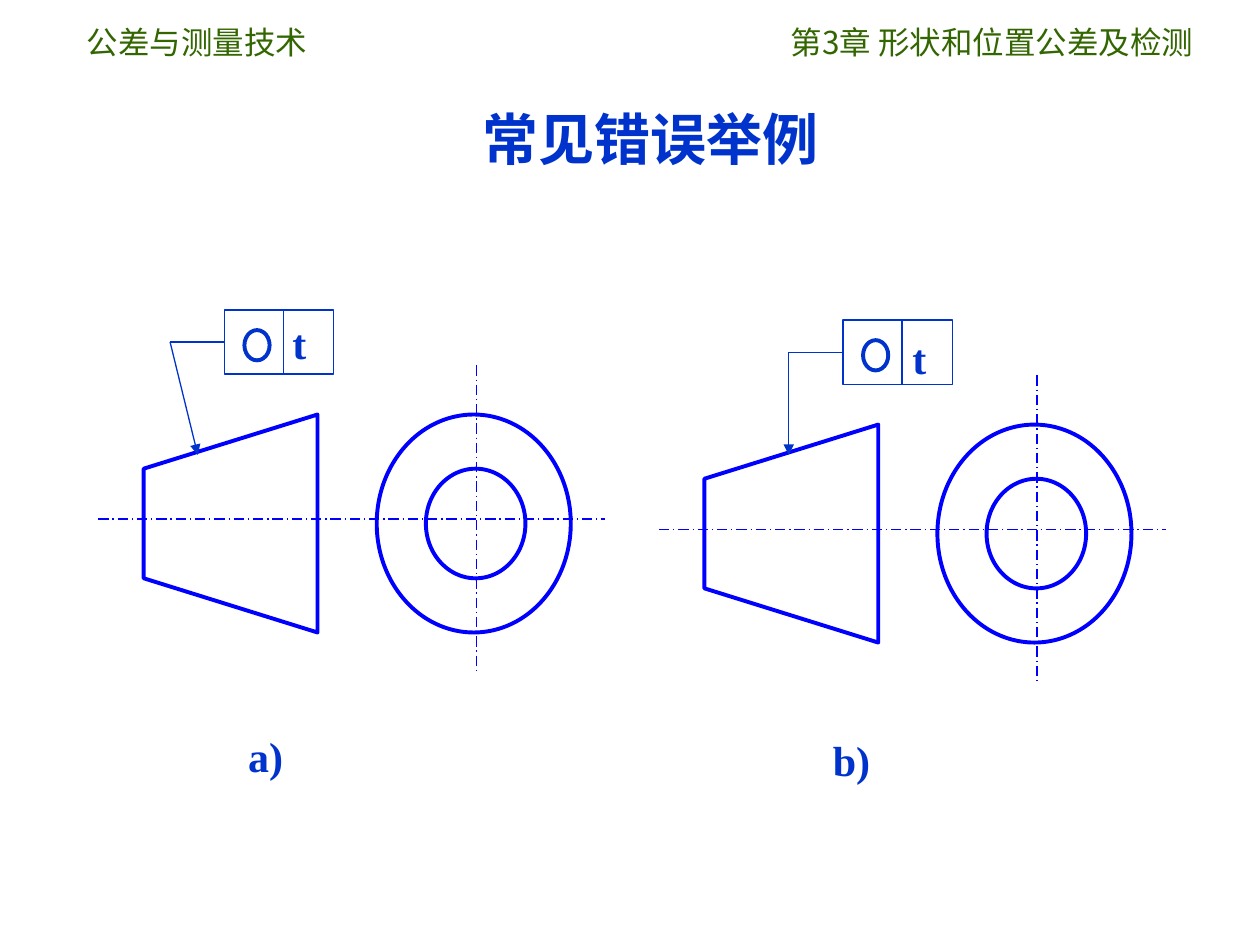
from lxml import etree
from pptx import Presentation
from pptx.dml.color import RGBColor
from pptx.enum.dml import MSO_LINE
from pptx.enum.shapes import MSO_CONNECTOR, MSO_SHAPE
from pptx.enum.text import MSO_ANCHOR, PP_ALIGN
from pptx.oxml.ns import qn
from pptx.util import Inches, Pt

STRAIGHT = MSO_CONNECTOR.STRAIGHT
OVAL, RECT = MSO_SHAPE.OVAL, MSO_SHAPE.RECTANGLE
DASH_DOT = MSO_LINE.LONG_DASH_DOT
MIDDLE = MSO_ANCHOR.MIDDLE
LEFT, RIGHT = PP_ALIGN.LEFT, PP_ALIGN.RIGHT
CJK, SERIF = "Noto Sans CJK SC", "Times New Roman"
COLORS = {"header": "336600", "part": "0000FF", "mark": "0033CC", "white": "FFFFFF"}


def set_text(sp, text, size, font, color, bold=False, align=LEFT, inset=(0, 0)):
    tf = sp.text_frame
    tf.text = text
    tf.word_wrap = True
    tf.vertical_anchor = MIDDLE
    tf.margin_left = tf.margin_right = Inches(inset[0])
    tf.margin_top = tf.margin_bottom = Inches(inset[1])
    p = tf.paragraphs[0]
    p.alignment = align
    p.space_before = Pt(0)
    r = p.runs[0]
    r.font.size, r.font.bold, r.font.name = Pt(size), bold, font
    r.font.color.rgb = RGBColor.from_string(COLORS[color])
    etree.SubElement(r.font._element, qn("a:ea"), typeface=CJK)


def style(sp, color, width, fill=None):
    sp.line.color.rgb = RGBColor.from_string(COLORS[color])
    sp.line.width = Pt(width)
    if sp in lines:
        etree.SubElement(sp._element.spPr, qn("a:effectLst"))
        return
    sp.shadow.inherit = False
    if fill:
        sp.fill.solid()
        sp.fill.fore_color.rgb = RGBColor.from_string(COLORS[fill])
    else:
        sp.fill.background()


prs = Presentation()
prs.slide_width, prs.slide_height = Inches(10), Inches(7.5)
s = prs.slides.add_slide(prs.slide_layouts[5])
lines = []

# Title
title = s.shapes.title
title.left, title.top = Inches(3.83), Inches(0.83)
title.width, title.height = Inches(2.9), Inches(0.53)
set_text(title, "常见错误举例", 32, SERIF, "mark", bold=True)

# Running headers
for text, x, w, align in [("公差与测量技术", 0.59, 2.14, LEFT),
                          ("第3章 形状和位置公差及检测", 5.87, 3.7, RIGHT)]:
    sp = s.shapes.add_textbox(Inches(x), Inches(0.13), Inches(w), Inches(0.4))
    set_text(sp, text, 18, CJK, "header", align=align, inset=(0.1, 0.05))

# Two examples: part offset, frame corner, arrow tip x, "t" position, caption
examples = [
    ((0, 0), (1.78, 2.46), 1.57, (2.32, 2.52), ("a)", 1.97, 5.8)),
    ((4.45, 0.08), (6.69, 2.54), 6.26, (7.24, 2.64), ("b)", 6.61, 5.83)),
]
frame_w, frame_h = 0.87, 0.51

for (dx, dy), (fx, fy), tip_x, (tx, ty), (caption, cx, cy) in examples:
    # Cone in side view
    points = [(Inches(x + dx), Inches(y + dy))
              for x, y in [(2.52, 3.29), (2.52, 5.02), (1.14, 4.59), (1.14, 3.72)]]
    builder = s.shapes.build_freeform(*points[0], scale=1.0)
    builder.add_line_segments(points[1:], close=True)
    style(builder.convert_to_shape(), "part", 2.25, fill="white")

    # Cone in end view
    for x, y, w, h in [(3.38, 3.72, 0.79, 0.87), (2.99, 3.29, 1.54, 1.73)]:
        sp = s.shapes.add_shape(OVAL, Inches(x + dx), Inches(y + dy), Inches(w), Inches(h))
        style(sp, "part", 2.25)

    # Centre lines
    for x1, y1, x2, y2 in [(0.78, 4.12, 4.8, 4.12), (3.78, 2.9, 3.78, 5.34)]:
        line = s.shapes.add_connector(STRAIGHT, Inches(x1 + dx), Inches(y1 + dy),
                                      Inches(x2 + dx), Inches(y2 + dy))
        lines.append(line)
        style(line, "part", 0.75)
        line.line.dash_style = DASH_DOT

    # Tolerance frame with roundness symbol
    frame = s.shapes.add_shape(RECT, Inches(fx), Inches(fy), Inches(frame_w), Inches(frame_h))
    style(frame, "mark", 0.75)
    symbol = s.shapes.add_shape(OVAL, Inches(fx + 0.16), Inches(fy + 0.16),
                                Inches(0.2), Inches(0.24))
    style(symbol, "mark", 2.25)

    # Frame divider, leader and arrow
    bend_x, mid_y, div_x = fx - 0.43, fy + frame_h / 2, fx + 0.47
    divider, leader, arrow = [
        s.shapes.add_connector(STRAIGHT, *[Inches(v) for v in ends])
        for ends in [(div_x, fy, div_x, fy + frame_h),
                     (bend_x, mid_y, fx, mid_y),
                     (bend_x, mid_y, tip_x, 3.61)]]
    for line in (divider, leader, arrow):
        lines.append(line)
        style(line, "mark", 0.75)
    leader.end_connect(frame, 1)
    etree.SubElement(arrow.line._get_or_add_ln(), qn("a:tailEnd"), type="triangle")

    # Tolerance value and caption
    for text, x, y, w in [("t", tx, ty, 0.25), (caption, cx, cy, 0.35)]:
        sp = s.shapes.add_textbox(Inches(x), Inches(y), Inches(w), Inches(0.4))
        set_text(sp, text, 24, SERIF, "mark", bold=True)

prs.save("out.pptx")
